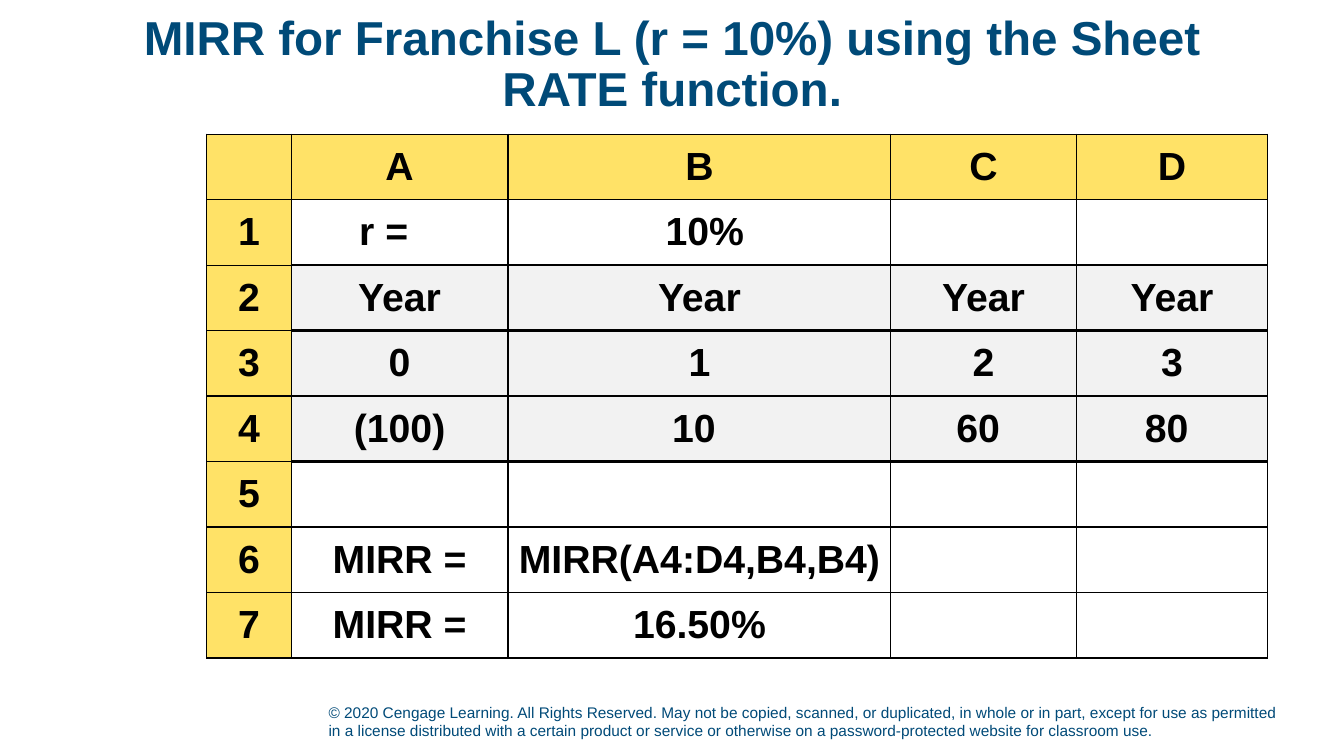
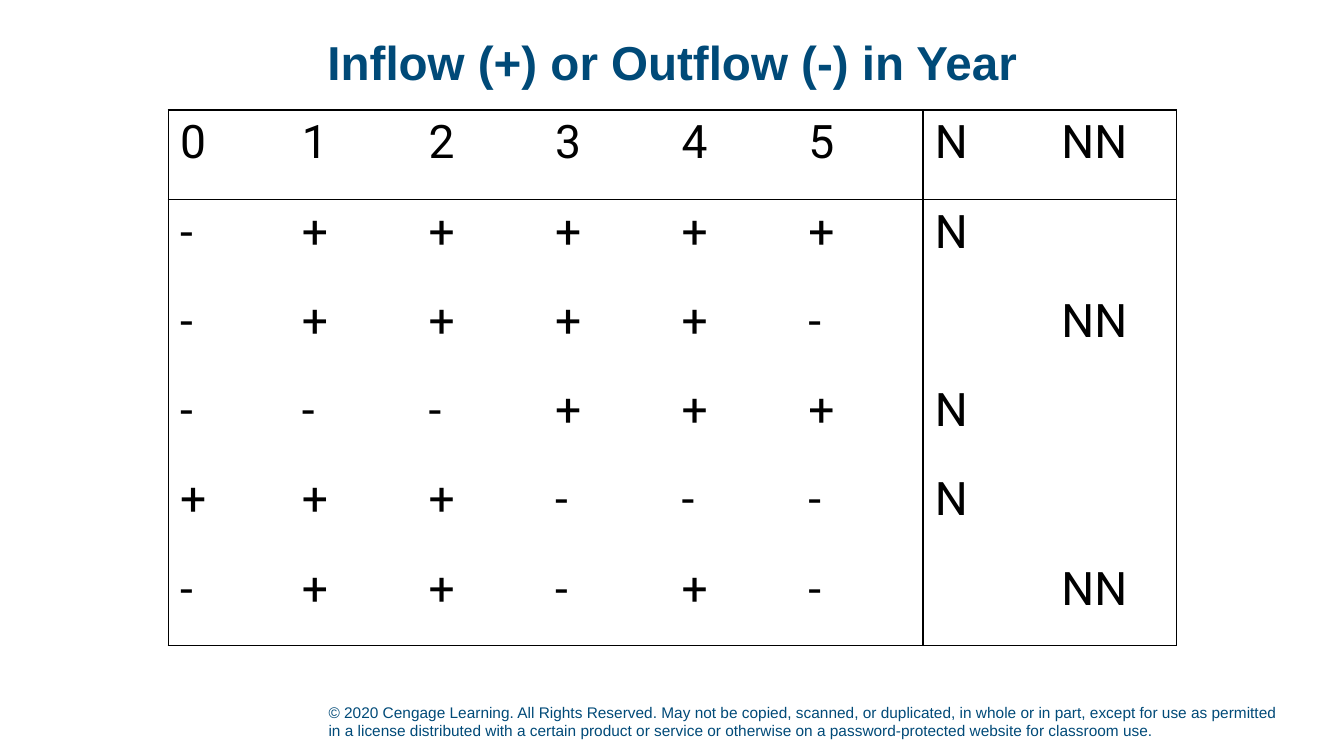
from lxml.etree import SubElement
from pptx import Presentation
from pptx.dml.color import RGBColor
from pptx.enum.text import MSO_ANCHOR, PP_ALIGN
from pptx.oxml.ns import qn
from pptx.util import Cm, Pt

HUES = {"navy": "004A78", "black": "000000", "gold": "FFE267", "grey": "F2F2F2"}
LEGAL = (
    "© 2020 Cengage Learning. All Rights Reserved. May not be copied, scanned, "
    "or duplicated, in whole or in part, except for use as permitted in a license "
    "distributed with a certain product or service or otherwise on a "
    "password-protected website for classroom use."
)


class Deck:
    def __init__(self):
        self.file = Presentation()
        self.file.slide_width, self.file.slide_height = Cm(33.87), Cm(19.05)
        self.slide = None

    def page(self, title):
        """Start a slide with the shared footer and title."""
        self.slide = self.file.slides.add_slide(self.file.slide_layouts[6])
        self.text((8.03, 17.5, 24.46, 1.27), LEGAL, 11, MSO_ANCHOR.BOTTOM)
        para = self.text((2.34, 0.38, 29.21, 2.54), title, 34, MSO_ANCHOR.MIDDLE, True)
        para.alignment = PP_ALIGN.CENTER
        para.line_spacing = 0.9

    def text(self, box, words, size, anchor, bold=False):
        frame = self.slide.shapes.add_textbox(*map(Cm, box)).text_frame
        frame.word_wrap = True
        frame.vertical_anchor = anchor
        para = frame.paragraphs[0]
        self.run(para, words, size, "navy", bold=bold)
        return para

    def run(self, para, words, size, hue, face="Arial", bold=False):
        run = para.add_run()
        run.text = words
        font = run.font
        font.name, font.size, font.bold = face, Pt(size), bold
        font.color.rgb = RGBColor.from_string(HUES[hue])

    def table(self, left, top, cols, high, rows, draw):
        """Build a table; draw(cell, words, row, col) styles each cell."""
        grid = self.slide.shapes.add_table(
            len(rows), len(cols), Cm(left), Cm(top), Cm(sum(cols)), Cm(high * len(rows))
        ).table
        grid.first_row = grid.horz_banding = False
        for col, wide in zip(grid.columns, cols):
            col.width = Cm(wide)
        for r, row in enumerate(rows):
            grid.rows[r].height = Cm(high)
            for c, words in enumerate(row):
                draw(grid.cell(r, c), words, r, c)

    def edge(self, cell, **sides):
        """Set border widths in points for L, R, T and B; 0 means no line."""
        props = cell._tc.get_or_add_tcPr()
        for side in "LRTB":
            line = SubElement(props, qn(f"a:ln{side}"), w=str(Pt(sides[side])))
            if sides[side]:
                fill = SubElement(line, qn("a:solidFill"))
                SubElement(fill, qn("a:srgbClr"), val=HUES["black"])
            else:
                SubElement(line, qn("a:noFill"))

    def fill(self, cell, hue=None):
        if hue:
            cell.fill.solid()
            cell.fill.fore_color.rgb = RGBColor.from_string(HUES[hue])
        else:
            cell.fill.background()

    def pad(self, cell, side, end):
        cell.margin_left = cell.margin_right = Cm(side)
        cell.margin_top = cell.margin_bottom = Cm(end)

    def sheet(self, cell, words, r, c):
        """Style a cell of the spreadsheet grid."""
        self.pad(cell, 0.03, 0.02)
        if words == "r =":
            cell.margin_right = Cm(0.83)
        cell.vertical_anchor = MSO_ANCHOR.MIDDLE
        over = 2.25 if c and 2 <= r <= 5 else 1
        under = 2.25 if c and 1 <= r <= 4 else 1
        self.edge(cell, L=1, R=1, T=over, B=under)
        head = r == 0 or c == 0
        self.fill(cell, "gold" if head else "grey" if 2 <= r <= 4 else None)
        if words:
            para = cell.text_frame.paragraphs[0]
            para.alignment = PP_ALIGN.CENTER
            self.run(para, words, 28, "black", bold=True)

    def sign(self, cell, words, r, c):
        """Style a cell of the cash flow sign grid."""
        self.pad(cell, 0.3, 0.15)
        self.edge(cell, L=int(c in (0, 6)), R=int(c in (5, 7)),
                  T=int(r in (0, 1)), B=int(r in (0, 5)))
        self.fill(cell)
        if words:
            self.run(cell.text_frame.paragraphs[0], words, 33, "black", "Roboto")


def main():
    deck = Deck()

    deck.page("MIRR for Franchise L (r = 10%) using the Sheet RATE function.")
    cells = [
        ["", "A", "B", "C", "D"],
        ["1", "r =", " 10%", "", ""],
        ["2"] + ["Year"] * 4,
        ["3", "0", "1", "2", "3"],
        ["4", "(100)", "10 ", "60 ", "80 "],
        ["5", "", "", "", ""],
        ["6", "MIRR =", "MIRR(A4:D4,B4,B4)", "", ""],
        ["7", "MIRR =", "16.50%", "", ""],
    ]
    deck.table(5.21, 3.38, [2.13, 5.46, 9.65, 4.67, 4.83], 1.65, cells, deck.sheet)

    deck.page("Inflow (+) or Outflow (-) in Year")
    flows = [("012345", "N", "NN")]
    for signs in ("-+++++", "-++++-", "---+++", "+++---", "-++-+-"):
        turns = sum(a != b for a, b in zip(signs, signs[1:]))
        flows.append((signs, "N", "") if turns == 1 else (signs, "", "NN"))
    rows = [[*signs, *kind] for signs, *kind in flows]
    deck.table(4.24, 2.77, [3.07] + [3.19] * 7, 2.25, rows, deck.sign)

    deck.file.save("out.pptx")


if __name__ == "__main__":
    main()
